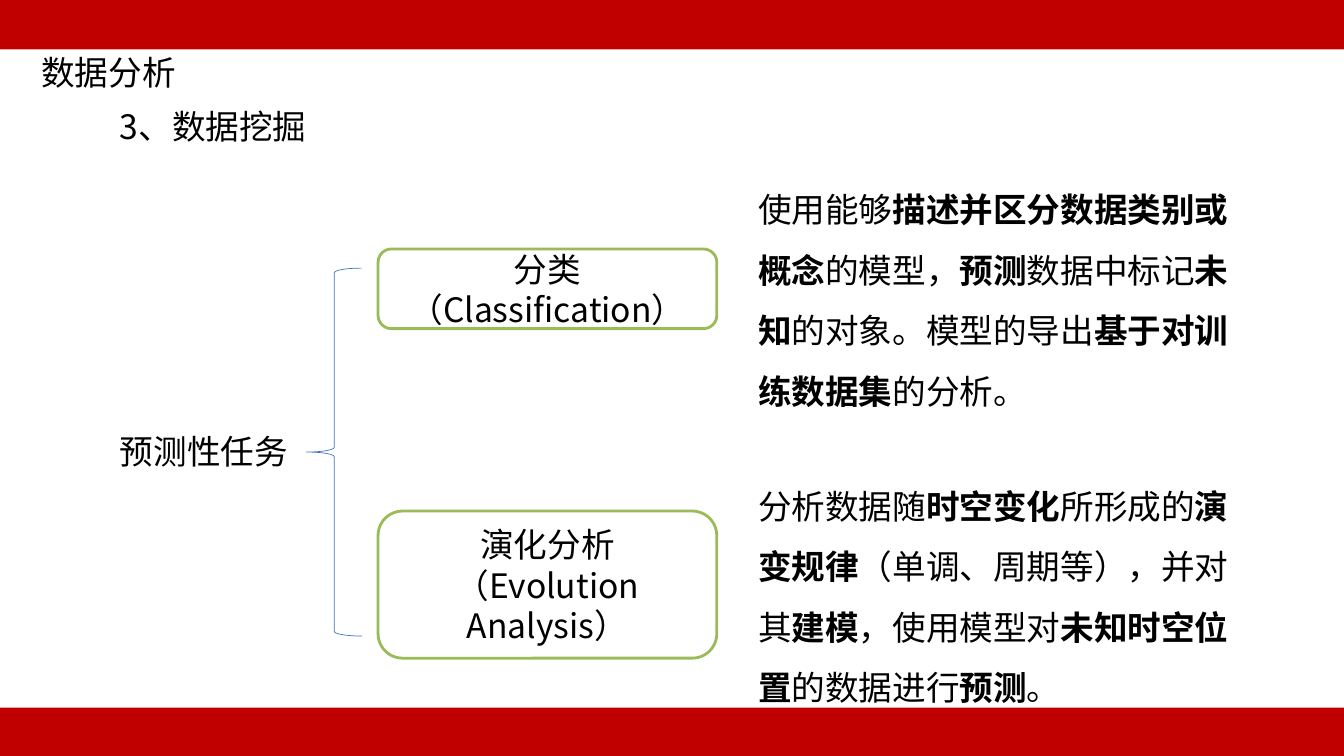
from pptx import Presentation
from pptx import util as u
from pptx.dml.color import RGBColor
from pptx.enum import shapes, text
from pptx.oxml.ns import qn
from lxml import etree

COLORS = {"text": "000000", "paper": "FFFFFF", "bar": "C00000",
          "box": "9BBB59", "brace": "4472C4"}
FONT = "Noto Sans CJK SC"
SIZE = 24


class SlideBuilder:
    def __init__(self, slide):
        self.slide = slide

    def color(self, name):
        return RGBColor.from_string(COLORS[name])

    def style_run(self, run, bold=None):
        run.font.size = u.Pt(SIZE)
        run.font.name = FONT
        run.font.bold = bold
        run.font.color.rgb = self.color("text")
        east_asian = etree.SubElement(run._r.get_or_add_rPr(), qn("a:ea"))
        east_asian.set("typeface", FONT)

    def fill_text(self, shape, lines, alignment, line_spacing=None):
        """Fill the shape; in each line, ** switches bold on and off."""
        frame = shape.text_frame
        for index, line in enumerate(lines):
            paragraph = frame.paragraphs[0] if index == 0 else frame.add_paragraph()
            paragraph.alignment = alignment
            if line_spacing:
                paragraph.line_spacing = line_spacing
            for part, words in enumerate(line.split("**")):
                if words:
                    run = paragraph.add_run()
                    run.text = words
                    self.style_run(run, part % 2 == 1)

    def title(self, words, left, top, width, height):
        title = self.slide.shapes.title
        title.left, title.top = u.Inches(left), u.Inches(top)
        title.width, title.height = u.Inches(width), u.Inches(height)
        frame = title.text_frame
        frame.auto_size = text.MSO_AUTO_SIZE.NONE
        frame.vertical_anchor = text.MSO_ANCHOR.TOP
        frame.word_wrap = False
        self.fill_text(title, [words], text.PP_ALIGN.LEFT)

    def text_box(self, words, left, top, width, height, wrap=True, line_spacing=None):
        box = self.slide.shapes.add_textbox(
            u.Inches(left), u.Inches(top), u.Inches(width), u.Inches(height))
        box.text_frame.word_wrap = wrap
        self.fill_text(box, [words], text.PP_ALIGN.LEFT, line_spacing)

    def shape(self, kind, left, top, width, height, fill=None, line=None, weight=1):
        shape = self.slide.shapes.add_shape(
            kind, u.Inches(left), u.Inches(top), u.Inches(width), u.Inches(height))
        shape.shadow.inherit = False
        if fill:
            shape.fill.solid()
            shape.fill.fore_color.rgb = self.color(fill)
        else:
            shape.fill.background()
        if line:
            shape.line.color.rgb = self.color(line)
            shape.line.width = u.Pt(weight)
        else:
            shape.line.fill.background()
        return shape

    def task_box(self, lines, top, height):
        box = self.shape(shapes.MSO_SHAPE.ROUNDED_RECTANGLE, 3.75, top, 3.36, height,
                         "paper", "box", 2)
        box.text_frame.vertical_anchor = text.MSO_ANCHOR.MIDDLE
        box.text_frame.word_wrap = True
        self.fill_text(box, lines, text.PP_ALIGN.CENTER)


def main():
    presentation = Presentation()
    presentation.slide_width = u.Inches(13.33)
    presentation.slide_height = u.Inches(7.5)
    title_only = presentation.slide_layouts[5]
    builder = SlideBuilder(presentation.slides.add_slide(title_only))

    builder.title("数据分析", 0.31, 0.46, 1.55, 0.5)
    builder.text_box("3、数据挖掘", 1.09, 1, 2.05, 0.5)
    builder.text_box("预测性任务", 1.09, 4.23, 1.88, 0.5, wrap=False)
    builder.shape(shapes.MSO_SHAPE.LEFT_BRACE, 3.04, 2.66, 0.55, 3.65,
                  line="brace", weight=0.5)

    tasks = [
        (["分类", "（Classification）"], 2.47, 0.79, 1.63,
         "使用能够**描述并区分数据类别或概念**的模型，**预测**数据中标记**未知**"
         "的对象。模型的导出**基于对训练数据集**的分析。"),
        (["演化分析", "（Evolution Analysis）"], 5.07, 1.46, 4.57,
         "分析数据随**时空变化**所形成的**演变规律**（单调、周期等），并对其**建模**"
         "，使用模型对**未知时空位置**的数据进行**预测**。"),
    ]
    for name, box_top, box_height, text_top, description in tasks:
        builder.task_box(name, box_top, box_height)
        builder.text_box(description, 7.42, text_top, 5.04, 2.46, line_spacing=1.5)

    for bar_top in (-0.02, 7.02):
        builder.shape(shapes.MSO_SHAPE.RECTANGLE, -0.02, bar_top, 13.35, 0.51, "bar")

    presentation.save("out.pptx")


if __name__ == "__main__":
    main()
